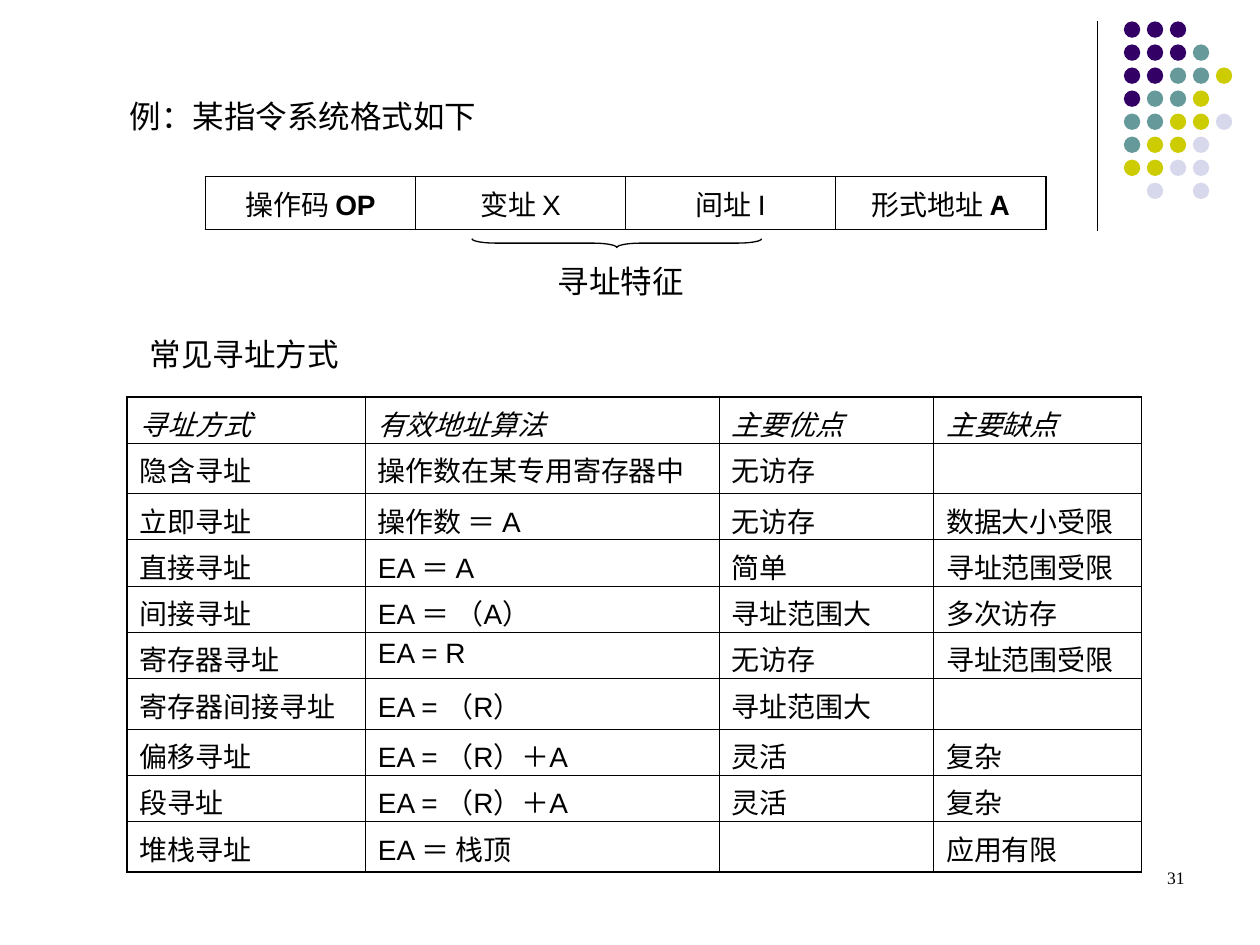
from dataclasses import dataclass

from lxml import etree
from pptx import Presentation
from pptx import util as u
from pptx.dml.color import RGBColor
from pptx.enum import shapes, text
from pptx.oxml import ns


@dataclass(frozen=True)
class Theme:
    ink: str = "000000"
    dots: tuple = ("330066", "669999", "CCCC00", "D8D8EC")
    font: str = "Arial"
    number_font: str = "Times New Roman"
    heading: float = 18
    cell: float = 16
    number: float = 10
    thin: float = 0.45
    rule: float = 0.75
    thick: float = 1.08


THEME = Theme()
LEFT, CENTER, RIGHT = text.PP_ALIGN.LEFT, text.PP_ALIGN.CENTER, text.PP_ALIGN.RIGHT

# Each digit picks a colour from the theme's dots; a space leaves a gap
DOT_ROWS = ["000  ", "0001 ", "00112", "0112 ", "11223", "1223 ", "2233 ", " 3 3 "]

# Plain and bold parts of each instruction field
FIELDS = [("操作码 ", "OP"), ("变址 X", ""), ("间址 I", ""), ("形式地址 ", "A")]

MODES = [
    ("寻址方式", "有效地址算法", "主要优点", "主要缺点"),
    ("隐含寻址", "操作数在某专用寄存器中", "无访存", ""),
    ("立即寻址", "操作数 ＝ A", "无访存", "数据大小受限"),
    ("直接寻址", "EA ＝ A", "简单", "寻址范围受限"),
    ("间接寻址", "EA ＝ （A）", "寻址范围大", "多次访存"),
    ("寄存器寻址", "EA = R", "无访存", "寻址范围受限"),
    ("寄存器间接寻址", "EA = （R）", "寻址范围大", ""),
    ("偏移寻址", "EA = （R）＋A", "灵活", "复杂"),
    ("段寻址", "EA = （R）＋A", "灵活", "复杂"),
    ("堆栈寻址", "EA ＝ 栈顶", "", "应用有限"),
]


def inches(*lengths):
    return [u.Inches(length) for length in lengths]


def write(frame, words, bold_tail="", size=THEME.heading, font=THEME.font,
          align=LEFT, italic=False):
    """Fill the first paragraph with plain words and an optional bold tail."""
    para = frame.paragraphs[0]
    para.alignment = align
    for part, bold in ((words, False), (bold_tail, True)):
        if part:
            span = para.add_run()
            span.text = part
            span.font.name, span.font.size = font, u.Pt(size)
            span.font.bold, span.font.italic = bold, italic
            span.font.color.rgb = RGBColor.from_string(THEME.ink)


def add_label(page, box, words, anchor=text.MSO_ANCHOR.TOP, **style):
    frame = page.shapes.add_textbox(*inches(*box)).text_frame
    frame.word_wrap = True
    frame.vertical_anchor = anchor
    write(frame, words, **style)


def set_title(page, box, words):
    title = page.shapes.title
    title.left, title.top, title.width, title.height = inches(*box)
    frame = title.text_frame
    frame.word_wrap = True
    frame.auto_size = text.MSO_AUTO_SIZE.NONE
    frame.vertical_anchor = text.MSO_ANCHOR.TOP
    write(frame, words)


def add_corner_dots(page, box, size=0.13):
    left, top, width, height = box
    step_x = (width - size) / (len(DOT_ROWS[0]) - 1)
    step_y = (height - size) / (len(DOT_ROWS) - 1)
    group = page.shapes.add_group_shape()
    for row, codes in enumerate(DOT_ROWS):
        for column, code in enumerate(codes):
            if code == " ":
                continue
            dot = group.shapes.add_shape(
                shapes.MSO_SHAPE.OVAL,
                *inches(left + column * step_x, top + row * step_y, size, size))
            dot.shadow.inherit = False
            dot.fill.solid()
            dot.fill.fore_color.rgb = RGBColor.from_string(THEME.dots[int(code)])
            dot.line.fill.background()


def add_rule(page, start, end):
    rule = page.shapes.add_connector(
        shapes.MSO_CONNECTOR.STRAIGHT, *inches(*start, *end))
    rule.line.color.rgb = RGBColor.from_string(THEME.ink)
    rule.line.width = u.Pt(THEME.rule)
    etree.SubElement(rule._element.spPr, ns.qn("a:effectLst"))


def set_border(cell, side, points):
    line = etree.SubElement(cell._tc.get_or_add_tcPr(), ns.qn(f"a:ln{side}"),
                            w=str(u.Pt(points)))
    fill = etree.SubElement(line, ns.qn("a:solidFill"))
    etree.SubElement(fill, ns.qn("a:srgbClr"), val=THEME.ink)


def add_grid(page, box, widths, rows):
    """Place an empty table with a thick frame and thin inner lines."""
    grid = page.shapes.add_table(rows, len(widths), *inches(*box)).table
    grid.first_row = grid.horz_banding = False
    for column, width in zip(grid.columns, widths):
        column.width = u.Inches(width)
    last_row, last_column = rows - 1, len(widths) - 1
    for row in range(rows):
        for column in range(len(widths)):
            cell = grid.cell(row, column)
            edges = {"L": column == 0, "R": column == last_column,
                     "T": row == 0, "B": row == last_row}
            for side, outer in edges.items():
                set_border(cell, side, THEME.thick if outer else THEME.thin)
            cell.fill.background()
    return grid


def add_instruction_format(page, box):
    left, top, width, height = box
    grid = add_grid(page, box, [width / len(FIELDS)] * len(FIELDS), 1)
    for column, (words, bold_tail) in enumerate(FIELDS):
        write(grid.cell(0, column).text_frame, words, bold_tail=bold_tail,
              size=THEME.cell, align=CENTER)

    # Brace under the two middle fields, turned to point down
    depth, span = 0.07, 2.3
    middle_x, middle_y = left + width / 2 - 0.07, top + height + 0.12
    brace = page.shapes.add_shape(
        shapes.MSO_SHAPE.RIGHT_BRACE,
        *inches(middle_x - depth / 2, middle_y - span / 2, depth, span))
    brace.rotation = 90
    brace.adjustments[0] = span / 12 / depth
    brace.shadow.inherit = False
    brace.fill.background()
    brace.line.color.rgb = RGBColor.from_string(THEME.ink)
    brace.line.width = u.Pt(THEME.rule)
    add_label(page, (left + 2.7, top + 0.63, 1.25, 0.4), "寻址特征")


def add_mode_table(page, box):
    grid = add_grid(page, box, (1.89, 2.81, 1.7, 1.65), len(MODES))
    for row, entries in enumerate(MODES):
        for column, words in enumerate(entries):
            write(grid.cell(row, column).text_frame, words, size=THEME.cell,
                  italic=row == 0)


def main():
    deck = Presentation()
    deck.slide_width, deck.slide_height = inches(10, 7.5)
    page = deck.slides.add_slide(deck.slide_layouts[5])

    # Corner decoration
    add_rule(page, (8.71, 0.17), (8.71, 1.83))
    add_corner_dots(page, (8.92, 0.17, 0.86, 1.41))

    # Instruction format
    set_title(page, (0.93, 0.72, 3.2, 0.4), "例：某指令系统格式如下")
    add_instruction_format(page, (1.63, 1.4, 6.67, 0.41))

    # Addressing modes
    add_label(page, (1.04, 2.65, 1.8, 0.32), "常见寻址方式",
              anchor=text.MSO_ANCHOR.MIDDLE, align=CENTER)
    add_mode_table(page, (1.01, 3.15, 8.05, 3.66))

    # Page number
    add_label(page, (7.17, 6.83, 2.33, 0.5), "31", size=THEME.number,
              font=THEME.number_font, align=RIGHT)
    deck.save("out.pptx")


if __name__ == "__main__":
    main()
